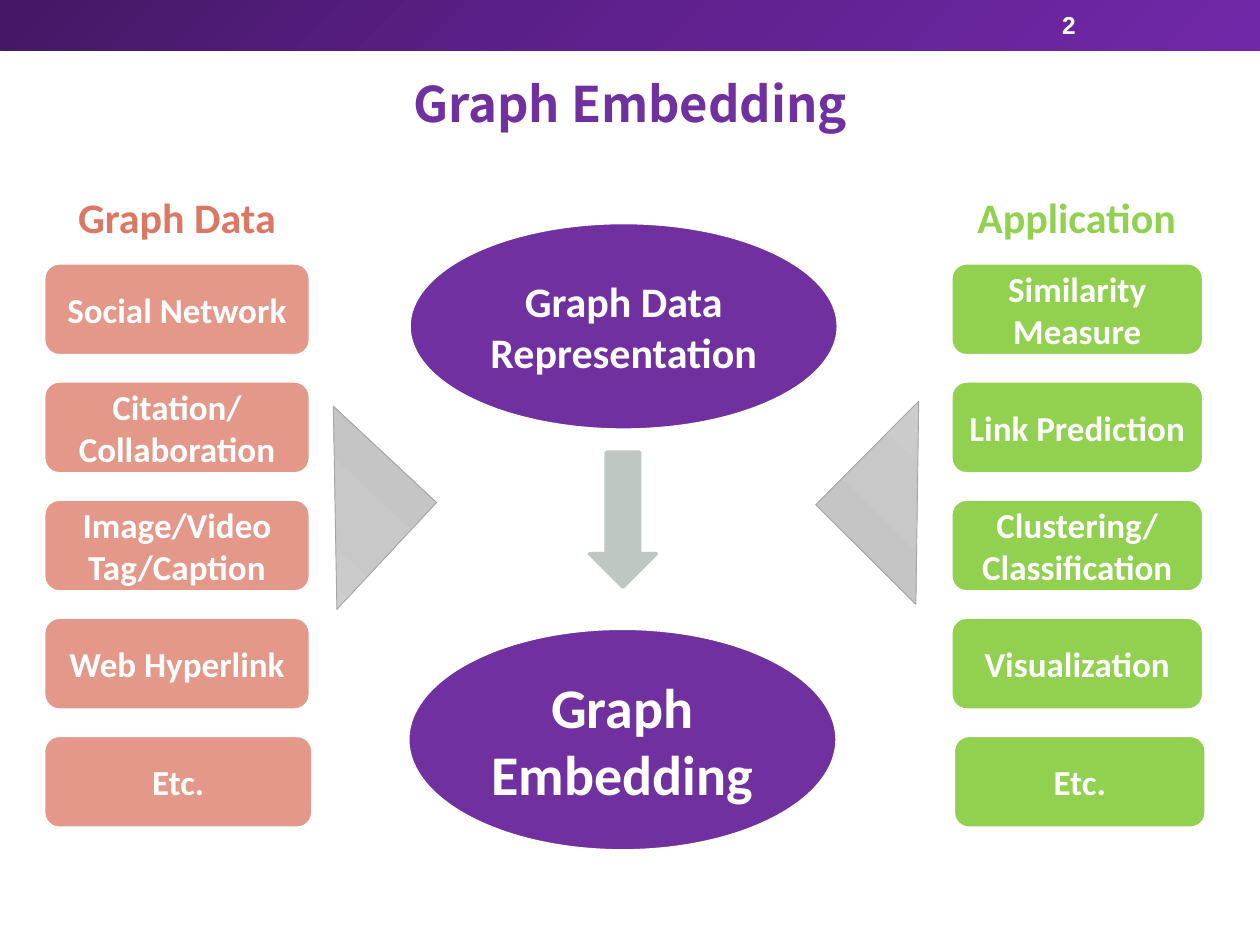
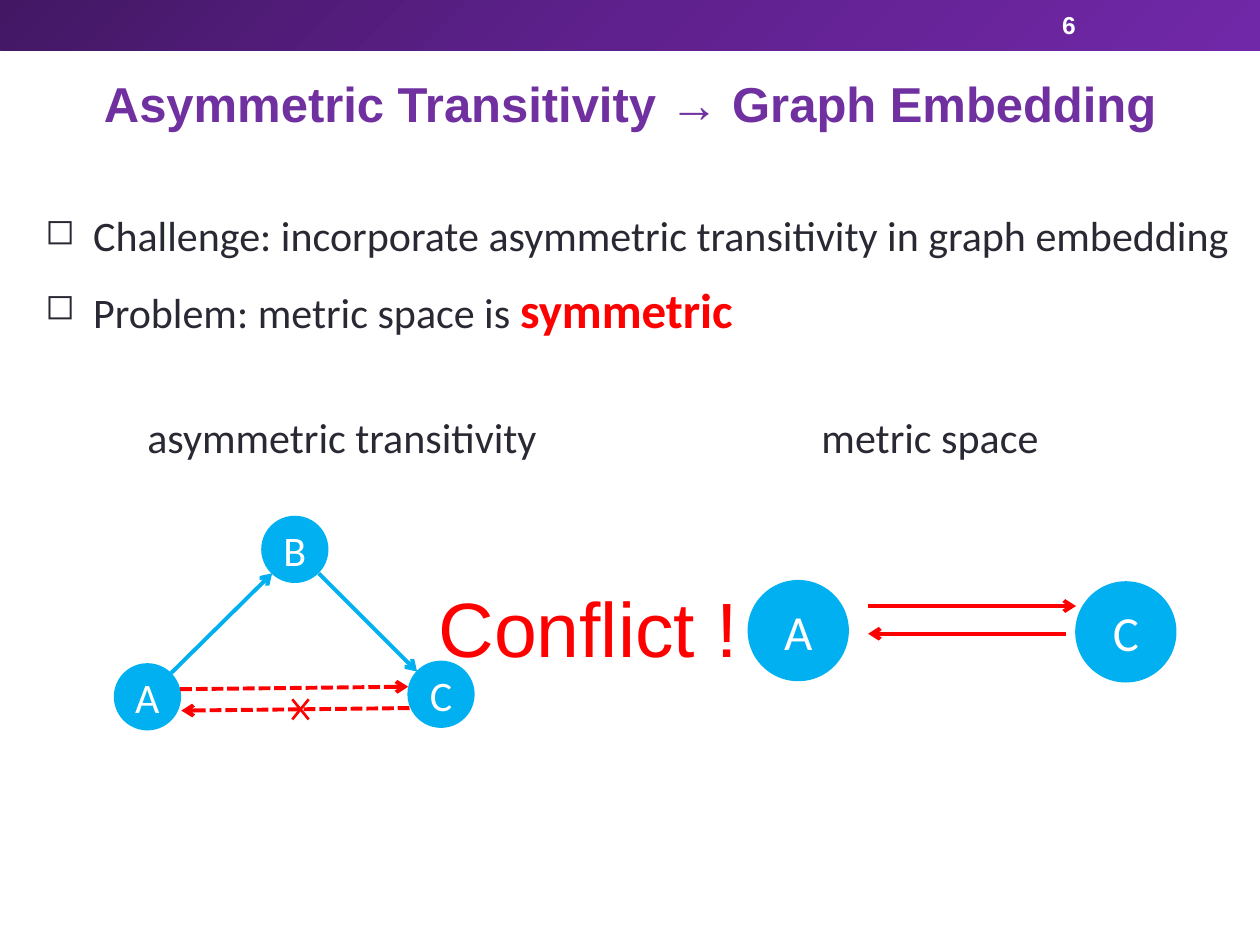
from copy import deepcopy

from lxml import etree
from pptx import Presentation
from pptx.dml.color import RGBColor
from pptx.enum.dml import MSO_LINE
from pptx.enum.shapes import MSO_CONNECTOR, MSO_SHAPE
from pptx.enum.text import MSO_ANCHOR, PP_ALIGN
from pptx.oxml.ns import qn
from pptx.util import Inches, Pt

RECTANGLE = MSO_SHAPE.RECTANGLE
ROUNDED = MSO_SHAPE.ROUNDED_RECTANGLE
ELLIPSE = MSO_SHAPE.OVAL
TRIANGLE = MSO_SHAPE.RIGHT_TRIANGLE
DOWN_ARROW = MSO_SHAPE.DOWN_ARROW
STRAIGHT = MSO_CONNECTOR.STRAIGHT
DASHED = MSO_LINE.SQUARE_DOT
MIDDLE, TOP = MSO_ANCHOR.MIDDLE, MSO_ANCHOR.TOP
CENTER, LEFT = PP_ALIGN.CENTER, PP_ALIGN.LEFT

PURPLE, WHITE, INK = "7030A0", "FFFFFF", "292934"
GREEN, SALMON, CORAL = "92D050", "E4988A", "DB7763"
BLUE, RED, SILVER, GRAY = "00B0F0", "FF0000", "BEC7C2", "A5A5A5"
BAND_STOPS = ["431764", "5F218E", "7128A8"]
TRIANGLE_STOPS = ["D2D2D2", "C8C8C8", "C0C0C0"]
color = RGBColor.from_string


def add_shape(slide, kind, box, fill=None, line=None, width=1.5):
    shape = slide.shapes.add_shape(kind, *[Inches(length) for length in box])
    shape.shadow.inherit = False
    if fill:
        shape.fill.solid()
        shape.fill.fore_color.rgb = color(fill)
    if line:
        shape.line.color.rgb = color(line)
        shape.line.width = Pt(width)
    else:
        shape.line.fill.background()
    return shape


def write(target, text, size, hue, bold=False, font="Calibri",
          align=CENTER, anchor=MIDDLE, box=None):
    if box:
        target = target.shapes.add_textbox(*[Inches(length) for length in box])
        target.text_frame.margin_left = target.text_frame.margin_right = 0
    frame = target.text_frame
    frame.word_wrap = True
    frame.vertical_anchor = anchor
    for index, words in enumerate(text.split("\n")):
        paragraph = frame.add_paragraph() if index else frame.paragraphs[0]
        paragraph.alignment = align
        run = paragraph.add_run()
        run.text = words
        run.font.size = Pt(size)
        run.font.name = font
        run.font.bold = bold
        run.font.color.rgb = color(hue)
    return frame


presentation = Presentation()
presentation.slide_width = Inches(10)
presentation.slide_height = Inches(7.5)
gradients = []

slides = []
for number, title, title_font in [
    ("2", "Graph Embedding", "Noto Sans CJK SC"),
    ("6", "Asymmetric Transitivity → Graph Embedding", "Arial"),
]:
    slide = presentation.slides.add_slide(presentation.slide_layouts[6])
    band = add_shape(slide, RECTANGLE, (0, 0, 10, 0.4))
    gradients.append((band, BAND_STOPS, 315))
    write(slide, number, 14, WHITE, True, "Arial", LEFT, box=(8.43, 0.02, 1.07, 0.36))
    heading = write(slide, title, 28, PURPLE, True, title_font, box=(0.69, 0.12, 8.62, 1.45))
    heading.paragraphs[0].line_spacing = 0.9
    slides.append(slide)
overview, conflict = slides

columns = [
    ("Graph Data", CORAL, SALMON, 0.51, 0.35, 2.11, 0.35, 2.13,
     ["Social Network", "Citation/\nCollaboration", "Image/Video Tag/Caption",
      "Web Hyperlink", "Etc."]),
    ("Application", GREEN, GREEN, 7.65, 7.55, 2, 7.57, 2,
     ["Similarity Measure", "Link Prediction", "Clustering/\nClassification",
      "Visualization", "Etc."]),
]
for label, label_color, fill, label_left, left, width, last_left, last_width, items in columns:
    write(overview, label, 24, label_color, True, anchor=TOP, box=(label_left, 1.47, 1.79, 0.5))
    for row, item in enumerate(items):
        if row == len(items) - 1:
            left, width = last_left, last_width
        card = add_shape(overview, ROUNDED, (left, 2.09 + 0.9375 * row, width, 0.73), fill, WHITE)
        write(card, item, 20, WHITE, True)

for text, size, box in [
    ("Graph Data Representation", 24, (3.25, 1.77, 3.4, 1.64)),
    ("Graph Embedding", 32, (3.24, 4.99, 3.4, 1.76)),
]:
    stage = add_shape(overview, ELLIPSE, box, PURPLE, WHITE)
    write(stage, text, size, WHITE, True)
add_shape(overview, DOWN_ARROW, (4.68, 3.59, 0.53, 1.07), SILVER, SILVER, 2.08)

for left, top, rotation in [(2.1, 3.45, 223), (6.72, 3.41, 44.8)]:
    triangle = add_shape(overview, TRIANGLE, (left, top, 1.12, 1.16), line=GRAY, width=0.5)
    triangle.rotation = rotation
    gradients.append((triangle, TRIANGLE_STOPS, 270))

for shape, hues, angle in gradients:
    shape.fill.gradient()
    shape.fill.gradient_angle = angle
    stop_list = shape._element.spPr.find(qn("a:gradFill")).find(qn("a:gsLst"))
    stop_list.insert(1, deepcopy(stop_list[0]))
    for index, (stop, hue) in enumerate(zip(shape.fill.gradient_stops, hues)):
        stop.position = index / 2
        stop.color.rgb = color(hue)

points = write(
    conflict,
    "Challenge: incorporate asymmetric transitivity in graph embedding\n"
    "Problem: metric space is ",
    24, INK, align=LEFT, anchor=TOP, box=(0.11, 1.47, 9.84, 1.4))
emphasis = points.paragraphs[1].add_run()
emphasis.text = "symmetric"
emphasis.font.size = Pt(28)
emphasis.font.name = "Calibri"
emphasis.font.bold = True
emphasis.font.color.rgb = color(RED)
for paragraph in points.paragraphs:
    paragraph.line_spacing = 1.35
    properties = paragraph._p.get_or_add_pPr()
    properties.set("marL", str(Inches(0.63)))
    properties.set("indent", str(Inches(-0.38)))
    bullet_color = etree.SubElement(properties, qn("a:buClr"))
    etree.SubElement(bullet_color, qn("a:srgbClr"), val=INK)
    etree.SubElement(properties, qn("a:buSzPct"), val="85000")
    etree.SubElement(properties, qn("a:buChar"), char="◻")

for caption, left in [("asymmetric transitivity", 1.17), ("metric space", 6.52)]:
    write(conflict, caption, 24, INK, align=LEFT, anchor=TOP, box=(left, 3.22, 3.3, 0.5))

for letter, left, top, diameter, size in [
    ("A", 5.94, 4.61, 0.79, 28),
    ("C", 8.54, 4.62, 0.79, 28),
    ("B", 2.08, 4.1, 0.52, 24),
    ("A", 0.91, 5.27, 0.52, 24),
    ("C", 3.24, 5.25, 0.52, 24),
]:
    node = add_shape(conflict, ELLIPSE, (left, top, diameter, diameter), BLUE, BLUE, 1)
    frame = write(node, letter, size, WHITE)
    frame.margin_left = frame.margin_right = 0

for start, end, hue, width, dashed, arrow in [
    ((6.89, 4.81), (8.54, 4.81), RED, 2.25, False, True),
    ((8.46, 5.03), (6.89, 5.03), RED, 2.25, False, True),
    ((1.35, 5.35), (2.16, 4.55), BLUE, 2.25, False, True),
    ((2.53, 4.55), (3.31, 5.33), BLUE, 2.25, False, True),
    ((1.43, 5.47), (3.24, 5.45), RED, 2.25, True, True),
    ((3.25, 5.62), (1.44, 5.64), RED, 2.25, True, True),
    ((2.32, 5.55), (2.45, 5.71), RED, 1.5, False, False),
    ((2.45, 5.55), (2.32, 5.71), RED, 1.5, False, False),
]:
    edge = conflict.shapes.add_connector(STRAIGHT, *[Inches(value) for value in start + end])
    edge.line.color.rgb = color(hue)
    edge.line.width = Pt(width)
    if dashed:
        edge.line.dash_style = DASHED
    if arrow:
        etree.SubElement(edge.line._get_or_add_ln(), qn("a:tailEnd"), type="arrow")
    etree.SubElement(edge._element.spPr, qn("a:effectLst"))

write(conflict, "Conflict !", 44, RED, font="Arial", anchor=TOP, box=(3.37, 4.56, 2.6, 0.84))

presentation.save("out.pptx")
